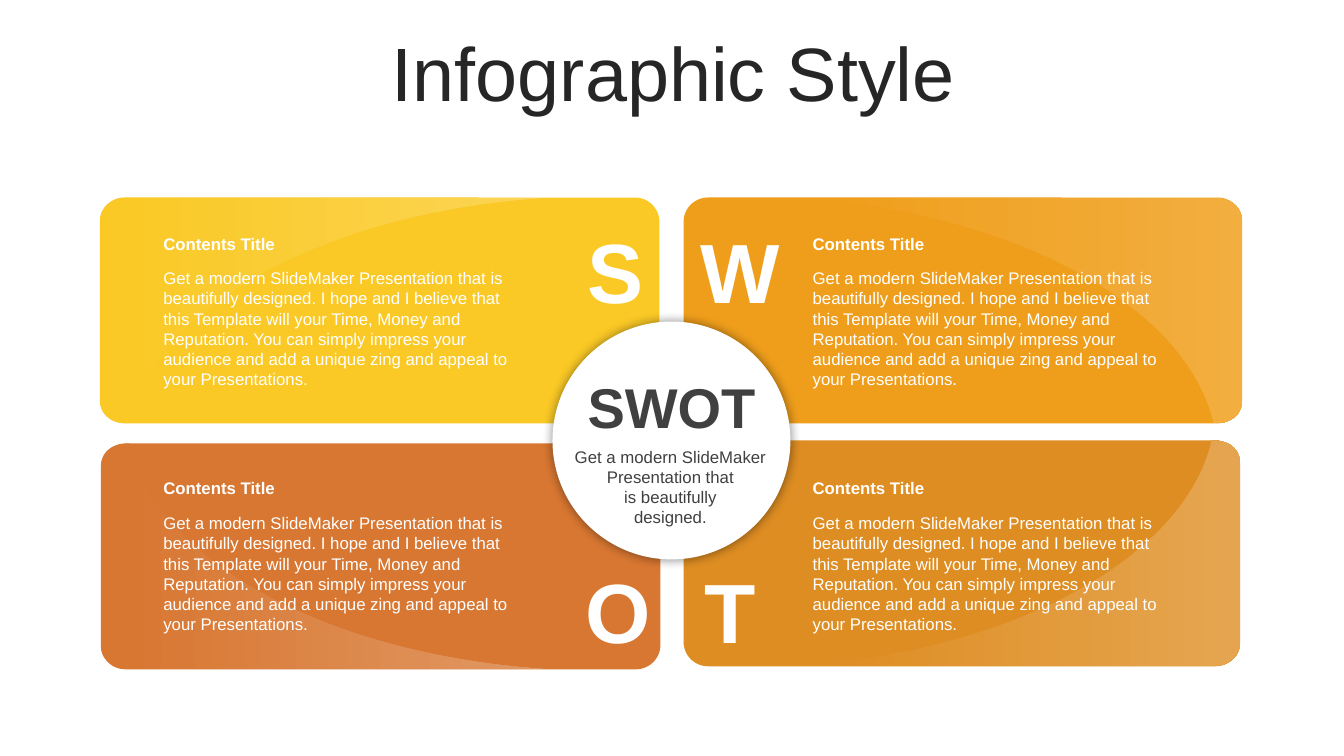
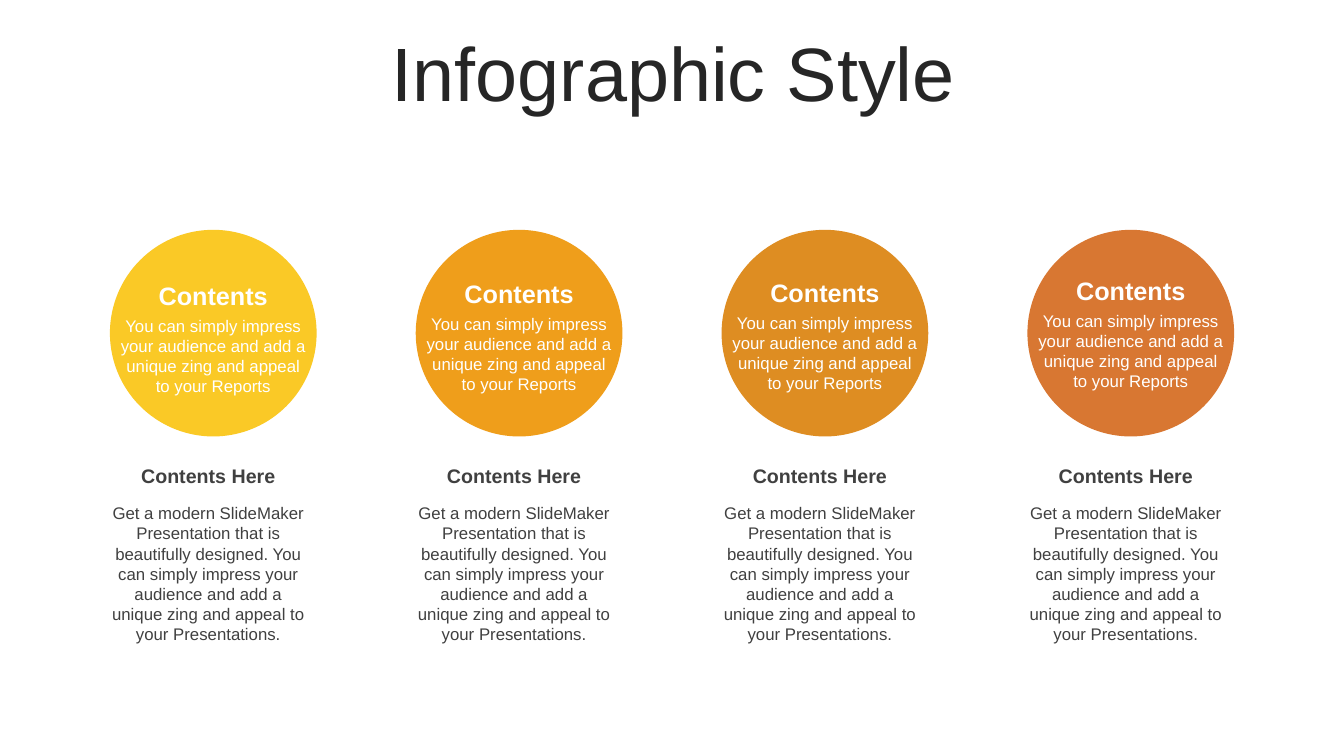
from lxml import etree
from pptx import Presentation
from pptx.dml.color import RGBColor
from pptx.enum.shapes import MSO_SHAPE as SHAPE
from pptx.enum.text import MSO_ANCHOR as ANCHOR, MSO_AUTO_SIZE as AUTO, PP_ALIGN as ALIGN
from pptx.oxml import parse_xml
from pptx.oxml.ns import nsdecls, qn
from pptx.util import Inches, Pt

FONT = "Arial"
WHITE, INK, TITLE = "FFFFFF", "404040", "262626"
YELLOW, AMBER, OCHRE, RUST = "FAC926", "EF9E1B", "DE8D22", "D87732"

TITLE_FMT = dict(size=54, color=TITLE)
LETTER_FMT = dict(size=60, color=WHITE, bold=True)
HEAD_FMT = dict(size=12, color=WHITE, bold=True)
BODY_FMT = dict(size=12, color=WHITE)
SWOT_FMT = dict(size=40, color=INK, bold=True)
DARK_FMT = dict(size=12, color=INK)
CIRCLE_FMT = dict(size=18, color=WHITE, bold=True)
CAPTION_FMT = dict(size=14, color=INK, bold=True)

WIDE = (0.12, 0.05, 0.12, 0.05)
TIGHT = (0.1, 0, 0.1, 0)
PLAIN = (0.1, 0.05, 0.1, 0.05)
SHIFTED = (0, 0.05, 0.1, 0.05)

CARD_W, CARD_H = 5.55, 2.24
CARD_TEXT = ("Get a modern SlideMaker Presentation that is beautifully designed. "
             "I hope and I believe that this Template will your Time, Money and "
             "Reputation. You can simply impress your audience and add a unique "
             "zing and appeal to your Presentations.")
CIRCLE_TEXT = ("You can simply impress your audience and add a unique zing and "
               "appeal to your Reports")
COLUMN_TEXT = ("Get a modern SlideMaker Presentation that is beautifully designed. "
               "You can simply impress your audience and add a unique zing and "
               "appeal to your Presentations.")

CARDS = [
    dict(letter="T", at=(6.78, 4.37), width=5.52, fill=OCHRE, light="E5A550"),
    dict(letter="W", at=(6.78, 1.96), width=5.54, fill=AMBER, light="F2AE3F"),
    dict(letter="O", at=(1, 4.4), width=CARD_W, fill=RUST, light="E19863"),
    dict(letter="S", at=(0.99, 1.96), width=CARD_W, fill=YELLOW, light="FBD454"),
]
COLUMNS = [(YELLOW, 2.73), (AMBER, 2.71), (OCHRE, 2.7), (RUST, 2.68)]
GLOSS_CURVES = [
    [(0.28, 2.24), (0.07, 2.24), (0, 2.12), (0, 2.01)],
    [(0, 0.24), (0, 0.12), (0.08, 0.01), (0.28, 0)],
    [(4.43, 0), (2.26, 0.14), (0.55, 1.07), (0.28, 2.24)],
]


def rgb(value):
    return RGBColor.from_string(value)


def write(tf, lines, fmt, align=ALIGN.CENTER):
    tf.word_wrap = True
    tf.auto_size = AUTO.NONE
    for i, line in enumerate(lines):
        p = tf.paragraphs[0] if i == 0 else tf.add_paragraph()
        p.alignment = align
        r = p.add_run()
        r.text = line
        r.font.name = FONT
        for name, value in fmt.items():
            if name == "color":
                r.font.color.rgb = rgb(value)
            else:
                setattr(r.font, name, Pt(value) if name == "size" else value)


def add_text(slide, box, lines, fmt, insets=PLAIN, align=ALIGN.CENTER):
    tf = slide.shapes.add_textbox(*map(Inches, box)).text_frame
    for side, inset in zip(("left", "top", "right", "bottom"), insets):
        setattr(tf, f"margin_{side}", Inches(inset))
    write(tf, lines, fmt, align)


def add_shape(slide, kind, box, fill):
    sp = slide.shapes.add_shape(kind, *map(Inches, box))
    sp.shadow.inherit = False
    sp.fill.solid()
    sp.fill.fore_color.rgb = rgb(fill)
    sp.line.fill.background()
    return sp


def add_titled_slide(prs):
    slide = prs.slides.add_slide(prs.slide_layouts[5])
    sp = slide.shapes.title
    sp.left, sp.top, sp.width, sp.height = map(Inches, (0.35, 0.37, 12.66, 0.79))
    tf = sp.text_frame
    tf.vertical_anchor = ANCHOR.MIDDLE
    write(tf, ["Infographic Style"], TITLE_FMT)
    tf.paragraphs[0].line_spacing = 0.9
    return slide


def round_off(sp):
    lines = list(sp._element.iter(qn("a:lnTo")))
    for start in range(0, len(lines), 4):
        controls = lines[start:start + 3]
        curve = etree.SubElement(controls[0].getparent(), qn("a:cubicBezTo"))
        controls[0].addprevious(curve)
        for line in controls:
            curve.append(line[0])
            line.getparent().remove(line)


def add_gloss(slide, corner, direction, fill, light):
    outline = [tuple(Inches(c + d * v) for c, d, v in zip(corner, direction, pt))
               for curve in GLOSS_CURVES for pt in curve]
    builder = slide.shapes.build_freeform(*outline[0], scale=1.0)
    builder.add_line_segments(outline[1:], close=True)
    sp = builder.convert_to_shape()
    round_off(sp)
    sp.shadow.inherit = False
    sp.line.fill.background()
    sp.fill.gradient()
    sp.fill.gradient_angle = 0
    for stop, color, position in zip(sp.fill.gradient_stops, (fill, light), (0.06, 1)):
        stop.color.rgb = rgb(color)
        stop.position = position


def add_card(slide, letter, at, width, fill, light):
    left, top = at
    is_right, is_bottom = left > 6, top > 4
    sp = add_shape(slide, SHAPE.ROUNDED_RECTANGLE, (left, top, width, CARD_H), fill)
    sp.adjustments[0] = 0.108
    corner = (left + width * is_right, top + CARD_H * is_bottom)
    direction = (-1 if is_right else 1, -1 if is_bottom else 1)
    add_gloss(slide, corner, direction, fill, light)

    letter_box = (6.85 if is_right else 5.71, 5.55 if is_bottom else 2.18, 0.79, 1.01)
    add_text(slide, letter_box, [letter], LETTER_FMT, TIGHT)
    text_left = 7.94 if is_right else 1.5
    head_top, body_top = (4.69, 5.04) if is_bottom else (2.27, 2.61)
    add_text(slide, (text_left, head_top, 3.87, 0.3), ["Contents Title"],
             HEAD_FMT, WIDE, ALIGN.LEFT)
    add_text(slide, (text_left, body_top, 3.87, 1.31), [CARD_TEXT],
             BODY_FMT, WIDE, ALIGN.LEFT)


def add_glow(sp):
    effects = sp._element.spPr.find(qn("a:effectLst"))
    effects.append(parse_xml(
        f'<a:outerShdw {nsdecls("a")} blurRad="{Pt(8)}" dist="0" dir="0" algn="ctr" '
        'rotWithShape="0"><a:srgbClr val="000000"><a:alpha val="45000"/></a:srgbClr>'
        '</a:outerShdw>'))


def add_hub(slide):
    add_glow(add_shape(slide, SHAPE.OVAL, (5.48, 3.19, 2.36, 2.36), WHITE))
    add_shape(slide, SHAPE.OVAL, (5.5, 3.21, 2.32, 2.32), WHITE)
    add_text(slide, (5.5, 3.65, 2.32, 0.77), ["SWOT"], SWOT_FMT, WIDE)
    add_text(slide, (5.48, 4.38, 2.34, 0.91),
             ["Get a modern SlideMaker Presentation that", "is beautifully", "designed."],
             DARK_FMT, WIDE)


def add_column(slide, left, fill, head_top):
    size = 2.05
    add_shape(slide, SHAPE.OVAL, (left, 2.28, size, size), fill)
    add_text(slide, (left, head_top, size, 0.4), ["Contents"], CIRCLE_FMT)
    add_text(slide, (left, head_top + 0.35, size, 0.91), [CIRCLE_TEXT], BODY_FMT)
    add_text(slide, (left, 4.55, size, 0.34), ["Contents Here"], CAPTION_FMT, SHIFTED)
    add_text(slide, (left, 4.94, size, 1.51), [COLUMN_TEXT], DARK_FMT, SHIFTED)


def main():
    prs = Presentation()
    prs.slide_width, prs.slide_height = Inches(13.33), Inches(7.5)

    swot = add_titled_slide(prs)
    for card in CARDS:
        add_card(swot, **card)
    add_hub(swot)

    circles = add_titled_slide(prs)
    first, last = 1.09, 10.19
    pitch = (last - first) / (len(COLUMNS) - 1)
    for i, (fill, head_top) in enumerate(COLUMNS):
        add_column(circles, first + i * pitch, fill, head_top)

    prs.save("out.pptx")


if __name__ == "__main__":
    main()
